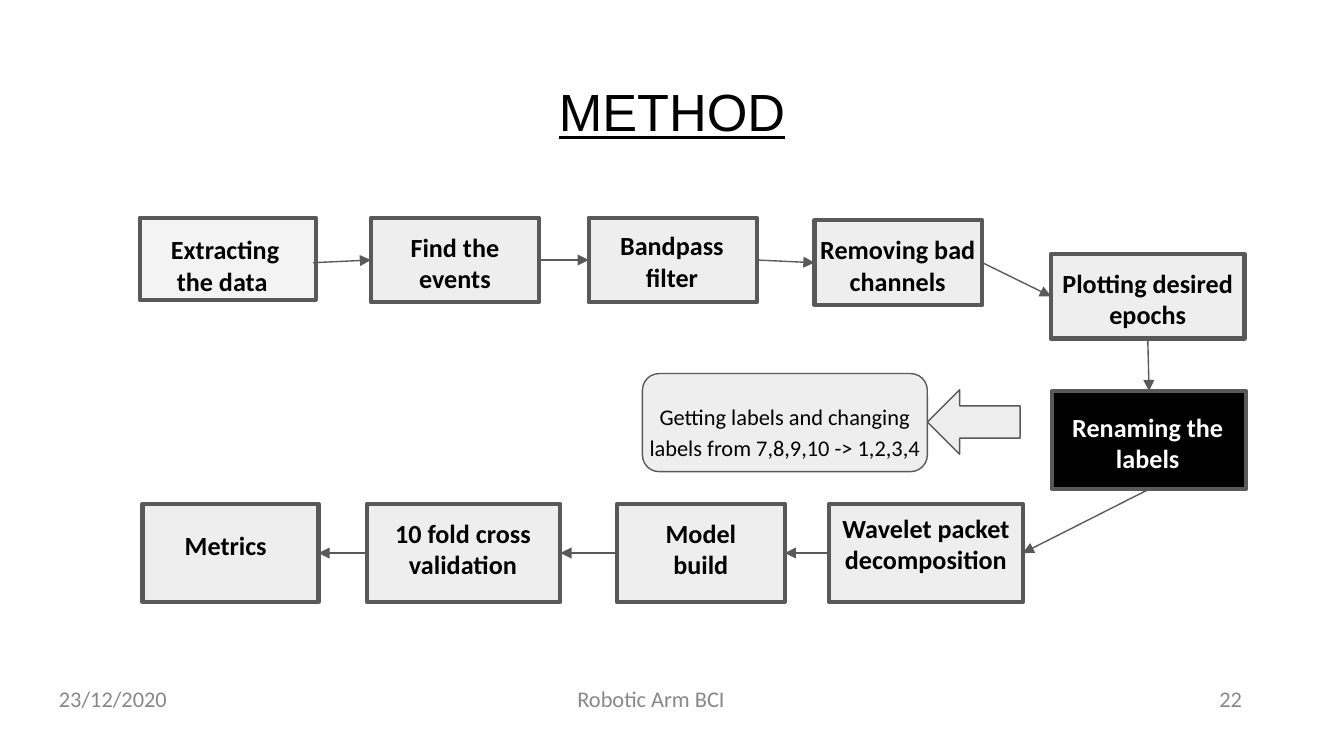
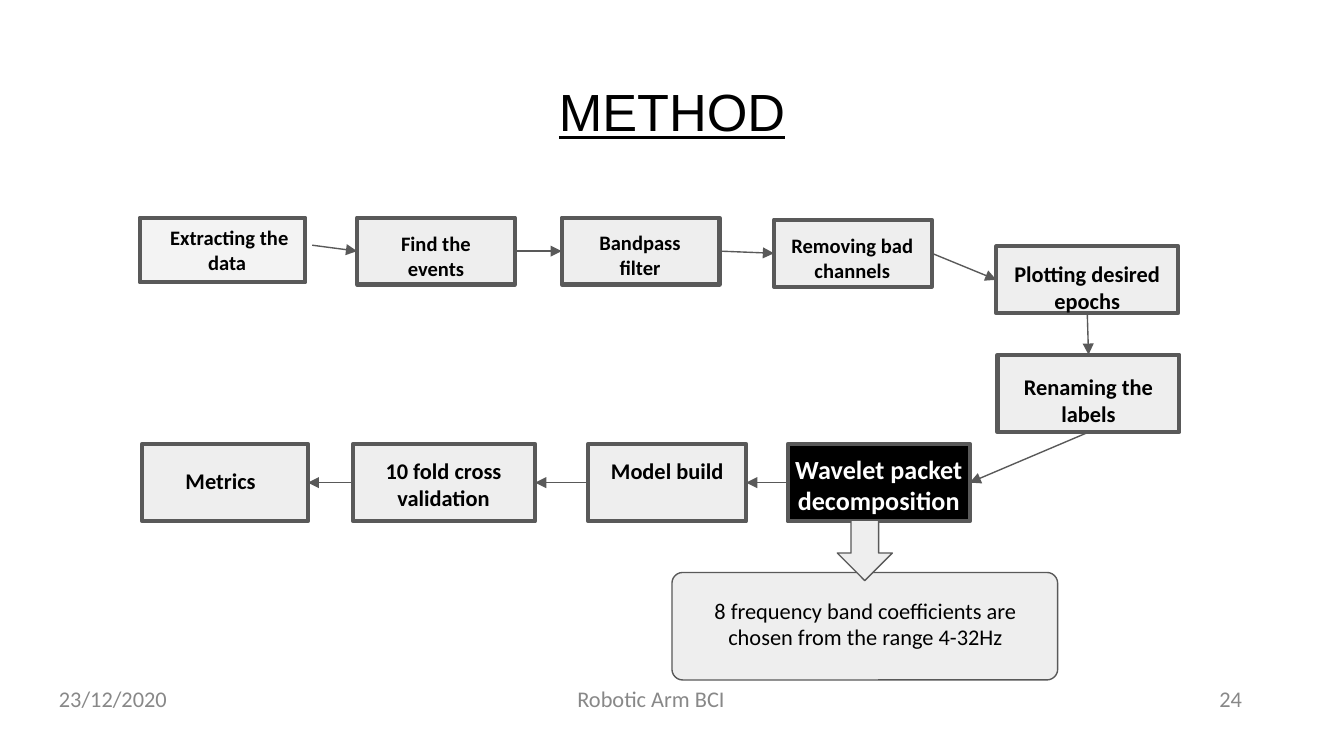
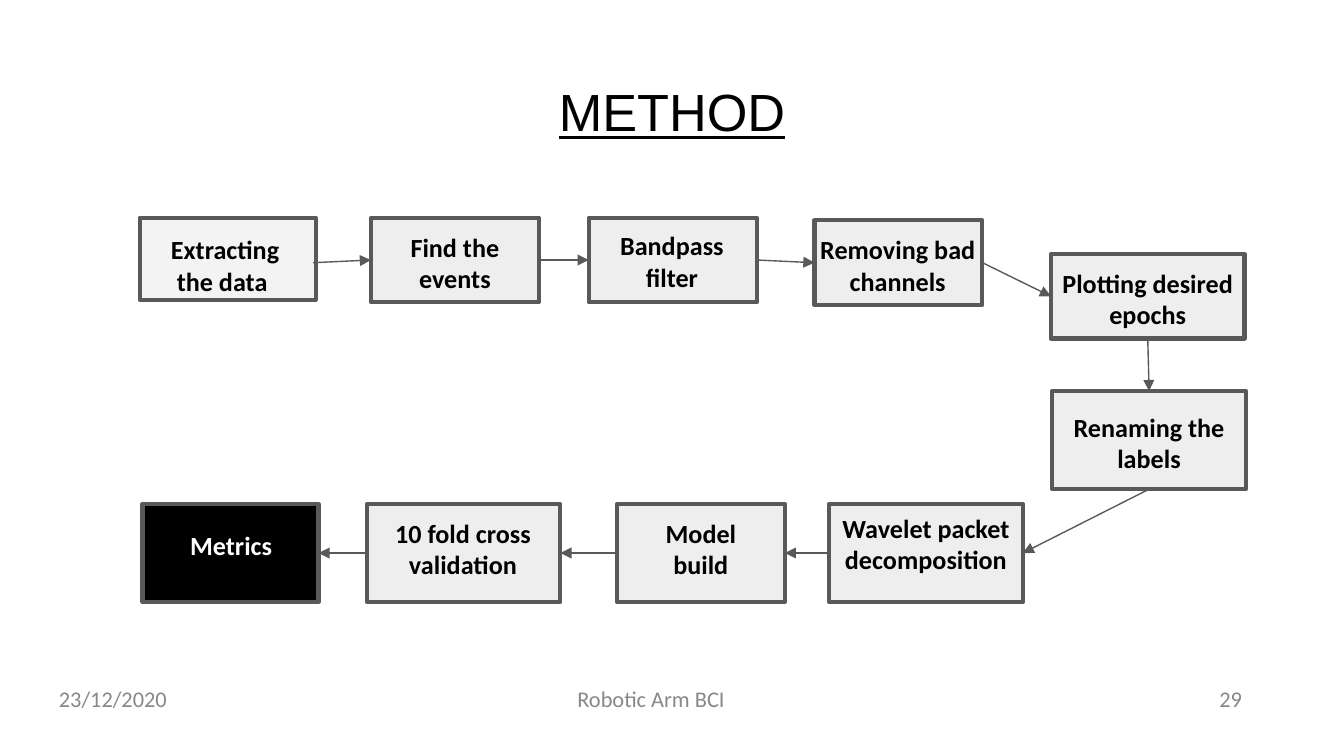
from dataclasses import dataclass

from lxml import etree
from pptx import Presentation
from pptx import util as u
from pptx.dml import color
from pptx.enum import shapes, text
from pptx.oxml import ns


@dataclass(frozen=True)
class Theme:
    ink: str = "000000"
    paper: str = "FFFFFF"
    panel: str = "EEEEEE"
    first_panel: str = "F3F3F3"
    edge: str = "595959"
    muted: str = "888888"
    title_font: str = "Arial"
    body_font: str = "Calibri"
    title_size: int = 28
    step_size: int = 14
    small_size: int = 12
    tiny_size: int = 11
    thick: float = 2.25
    thin: float = 0.75


THEME = Theme()
SHAPE = shapes.MSO_SHAPE
ALIGN = text.PP_ALIGN

# Content: step text, box, label area (left, top, width, height)
STEPS = {
    "extract": ("Extracting the data ", (1.04, 1.62, 1.31, 0.61), (1.02, 1.64, 1.31, 0.63)),
    "events": ("Find the events", (2.76, 1.62, 1.25, 0.63), (2.83, 1.62, 1.11, 0.55)),
    "filter": ("Bandpass filter", (4.38, 1.62, 1.25, 0.63), (4.42, 1.61, 1.16, 0.56)),
    "channels": ("Removing bad channels", (6.06, 1.64, 1.25, 0.63), (5.96, 1.64, 1.44, 0.63)),
    "epochs": ("Plotting desired epochs", (7.82, 1.89, 1.44, 0.63), (7.74, 1.89, 1.6, 0.61)),
    "labels": ("Renaming the labels", (7.83, 2.91, 1.44, 0.73), (7.83, 2.96, 1.44, 0.61)),
    "wavelet": ("Wavelet packet decomposition", (6.17, 3.75, 1.44, 0.73), (6.09, 3.71, 1.6, 0.63)),
    "model": ("Model build", (4.59, 3.75, 1.25, 0.73), (4.66, 3.75, 1.11, 0.55)),
    "folds": ("10 fold cross validation", (2.73, 3.75, 1.44, 0.73), (2.79, 3.75, 1.31, 0.73)),
    "metrics": ("Metrics", (1.06, 3.75, 1.31, 0.73), (1.21, 3.84, 0.94, 0.55)),
}
# Each link leaves one side of a step and enters a side of the next
LINK_SIDES = [("right", "left")] * 4 + [("bottom", "top"), ("bottom", "right")] + [("left", "right")] * 3

TOP_ROW = ("extract", "events", "filter", "channels")
COMPACT_SIZES = {key: THEME.tiny_size if key in TOP_ROW else THEME.small_size for key in STEPS}

PAGES = [
    {
        "number": "22", "active": "labels", "moves": {"labels": (-0.01, 0)},
        "callout": {
            "text": "Getting labels and changing labels from 7,8,9,10 -> 1,2,3,4",
            "bubble": (4.78, 2.78, 2.12, 0.73), "round": 0.17,
            "label": (4.72, 2.87, 2.24, 0.55), "spacing": 1.15,
            "arrow": (6.9, 2.9, 0.69, 0.48), "arrow_kind": SHAPE.LEFT_ARROW,
        },
    },
    {
        "number": "24", "active": "wavelet", "scale": (0.94, 0.79),
        "sizes": {**COMPACT_SIZES, "wavelet": THEME.step_size},
        "moves": {"extract": (0.07, -0.06)},
        "callout": {
            "text": "8 frequency band coefficients are chosen from the range 4-32Hz",
            "bubble": (5, 4.26, 2.87, 0.8), "round": 0.1,
            "label": (5.1, 4.34, 2.68, 0.63),
            "arrow": (6.23, 3.87, 0.41, 0.45), "arrow_kind": SHAPE.DOWN_ARROW,
        },
    },
    {"number": "29", "active": "metrics", "moves": {"metrics": (0.04, 0)}},
]


# Drawing helpers
def inches(values):
    return [u.Inches(value) for value in values]


def rgb(value):
    return color.RGBColor.from_string(value)


def add_text(page, words, area, *, size=THEME.small_size, font=THEME.body_font, ink=THEME.ink,
             bold=False, underline=False, align=ALIGN.CENTER, anchor=text.MSO_ANCHOR.TOP,
             pad=0.1, spacing=None):
    frame = page.shapes.add_textbox(*inches(area)).text_frame
    frame.word_wrap = True
    frame.vertical_anchor = anchor
    frame.margin_left = frame.margin_right = u.Inches(0.1)
    frame.margin_top = frame.margin_bottom = u.Inches(pad)
    para = frame.paragraphs[0]
    para.alignment = align
    if spacing:
        para.line_spacing = spacing
    span = para.add_run()
    span.text = words
    span.font.name, span.font.size = font, u.Pt(size)
    span.font.bold, span.font.underline = bold, underline
    span.font.color.rgb = rgb(ink)


def add_box(page, kind, area, fill=THEME.panel, weight=THEME.thin):
    box = page.shapes.add_shape(kind, *inches(area))
    box.shadow.inherit = False
    box.fill.solid()
    box.fill.fore_color.rgb = rgb(fill)
    box.line.color.rgb = rgb(THEME.edge)
    box.line.width = u.Pt(weight)
    return box


def add_arrow(page, start, end):
    arrow = page.shapes.add_connector(shapes.MSO_CONNECTOR.STRAIGHT, *inches(start + end))
    arrow.line.color.rgb = rgb(THEME.edge)
    arrow.line.width = u.Pt(THEME.thin)
    etree.SubElement(arrow.line._get_or_add_ln(), ns.qn("a:tailEnd"), type="triangle")
    etree.SubElement(arrow._element.spPr, ns.qn("a:effectLst"))


def side_point(area, side):
    left, top, width, height = area
    across, down = {"left": (0, 0.5), "right": (1, 0.5), "top": (0.5, 0), "bottom": (0.5, 1)}[side]
    return left + width * across, top + height * down


def scaled(area, scale):
    """Shrink an area towards the top left corner of the first step."""
    left0, top0 = STEPS["extract"][1][:2]
    left, top, width, height = area
    across, down = scale
    return (left0 + (left - left0) * across, top0 + (top - top0) * down,
            width * across, height * down)


# Parts of a page
def add_frame(page, number):
    add_text(page, "METHOD", (0.34, 0.49, 9.32, 0.63), size=THEME.title_size,
             font=THEME.title_font, underline=True)
    footers = [("23/12/2020", 0.34, 2.33, ALIGN.LEFT),
               ("Robotic Arm BCI", 3.26, 3.17, ALIGN.CENTER),
               (number, 7.01, 2.33, ALIGN.RIGHT)]
    for words, left, width, align in footers:
        add_text(page, words, (left, 5, width, 0.4), ink=THEME.muted, align=align,
                 anchor=text.MSO_ANCHOR.MIDDLE, pad=0.05)


def add_flow(page, active, scale=(1, 1), sizes=None, moves=None):
    ports = []
    for key, (words, box_area, label_area) in STEPS.items():
        area = scaled(box_area, scale)
        left, top, width, height = scaled(label_area, scale)
        shift_x, shift_y = (moves or {}).get(key, (0, 0))
        label = (left + shift_x, top + shift_y, width, height)
        plain = THEME.first_panel if key == "extract" else THEME.panel
        add_box(page, SHAPE.RECTANGLE, area, THEME.ink if key == active else plain, THEME.thick)
        add_text(page, words, label, size=(sizes or {}).get(key, THEME.step_size), bold=True,
                 ink=THEME.paper if key == active else THEME.ink)
        # The first link leaves from the label instead of the box
        ports.append(label if key == "extract" else area)
    for origin, target, (exit_side, entry_side) in zip(ports, ports[1:], LINK_SIDES):
        add_arrow(page, side_point(origin, exit_side), side_point(target, entry_side))


def add_callout(page, callout):
    bubble = add_box(page, SHAPE.ROUNDED_RECTANGLE, callout["bubble"])
    bubble.adjustments[0] = callout["round"]
    add_box(page, callout["arrow_kind"], callout["arrow"])
    add_text(page, callout["text"], callout["label"], spacing=callout.get("spacing"))


def main():
    deck = Presentation()
    deck.slide_width = u.Inches(10)
    deck.slide_height = u.Inches(10 * 9 / 16)
    for content in PAGES:
        page = deck.slides.add_slide(deck.slide_layouts[6])
        add_frame(page, content["number"])
        add_flow(page, content["active"], content.get("scale", (1, 1)),
                 content.get("sizes"), content.get("moves"))
        if "callout" in content:
            add_callout(page, content["callout"])
    deck.save("out.pptx")


if __name__ == "__main__":
    main()
